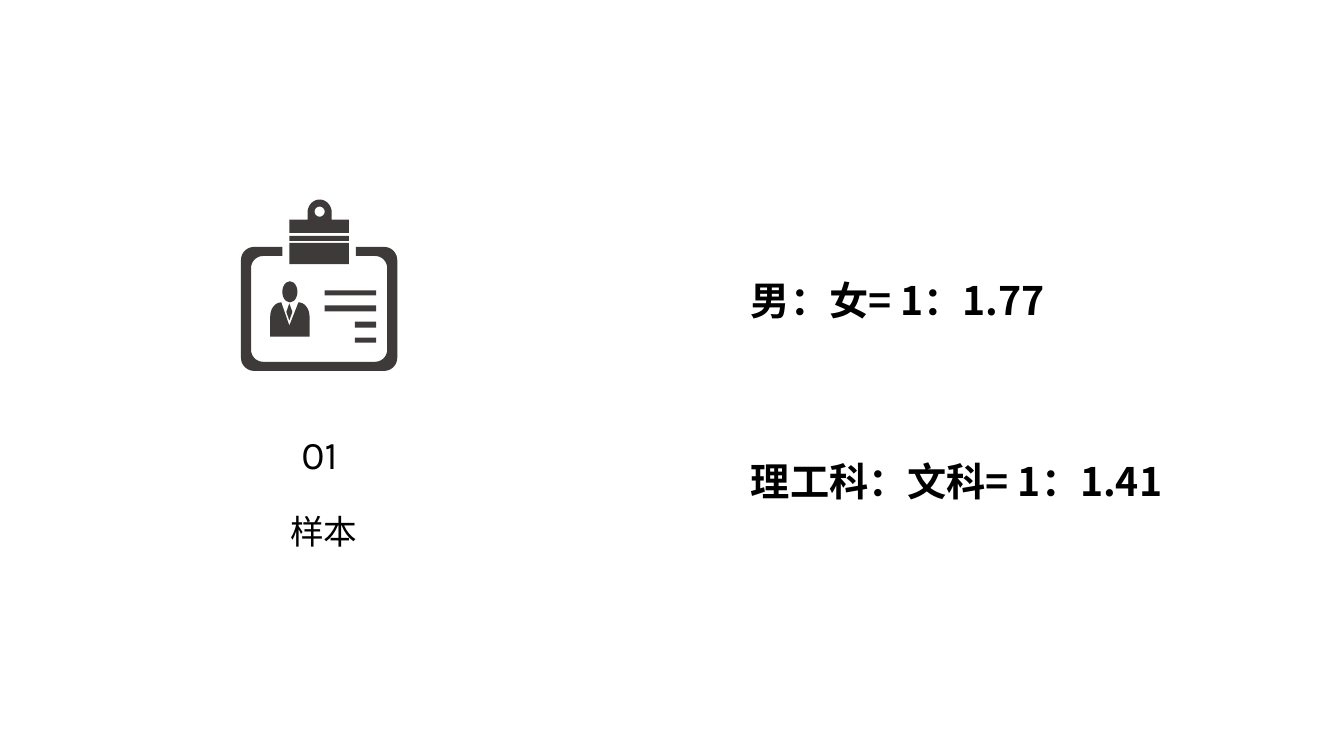
"""Build the sample slide: a badge icon with its label beside two ratios."""
from math import cos, radians, sin
from typing import NamedTuple

from lxml import etree
from pptx import Presentation
from pptx.dml.color import RGBColor
from pptx.enum.shapes import MSO_SHAPE
from pptx.enum.text import PP_ALIGN
from pptx.oxml.ns import qn
from pptx.util import Inches, Pt

RECT, OVAL, DIAMOND = MSO_SHAPE.RECTANGLE, MSO_SHAPE.OVAL, MSO_SHAPE.DIAMOND
LEFT, CENTER = PP_ALIGN.LEFT, PP_ALIGN.CENTER
INK = RGBColor(0x3E, 0x3A, 0x39)
BLACK = RGBColor(0, 0, 0)
KARLA, NOTO = "Karla", "Noto Sans CJK JP"

Point = tuple[float, float]


class Part(NamedTuple):
    kind: MSO_SHAPE
    left: float
    top: float
    width: float
    height: float


BARS = [
    Part(RECT, 3.22, 2.88, 0.51, 0.05),
    Part(RECT, 3.22, 3.03, 0.51, 0.06),
    Part(RECT, 3.52, 3.19, 0.21, 0.06),
    Part(RECT, 3.52, 3.35, 0.21, 0.05),
]
CLIP = [Part(RECT, 2.87, 2.41, 0.59, 0.21), Part(RECT, 2.87, 2.34, 0.59, 0.05)]
MAN = [Part(OVAL, 2.8, 2.79, 0.15, 0.21), Part(DIAMOND, 2.84, 3.01, 0.06, 0.17)]


def arc(x: float, y: float, wide: float, high: float,
        start: int, end: int) -> list[Point]:
    """Return points along an elliptic arc, angles in degrees."""
    steps = abs(end - start) // 10
    turns = [radians(start + (end - start) * i / steps) for i in range(steps + 1)]
    return [(x + wide * cos(t), y + high * sin(t)) for t in turns]


def corners(left: float, top: float, right: float, low: float,
            bend: float) -> list[Point]:
    """Return a rounded box outline running from top left to top right."""
    west, east, north, south = left + bend, right - bend, top + bend, low - bend
    spots = [(west, north), (west, south), (east, south), (east, north)]
    return [point for i, (x, y) in enumerate(spots)
            for point in arc(x, y, bend, bend, 270 - 90 * i, 180 - 90 * i)]


def paint(shape) -> None:
    """Fill a shape with ink, without line or shadow."""
    shape.shadow.inherit = False
    shape.fill.solid()
    shape.fill.fore_color.rgb = INK
    shape.line.fill.background()


def add_part(shapes, part: Part) -> None:
    """Draw one preset part of the icon."""
    paint(shapes.add_shape(part.kind, *map(Inches, part[1:])))


def add_path(shapes, *rings: list[Point]) -> None:
    """Draw closed rings as one outline."""
    first, *rest = [[(Inches(x), Inches(y)) for x, y in ring] for ring in rings]
    pen = shapes.build_freeform(*first[0])
    pen.add_line_segments(first[1:])
    for ring in rest:
        pen.move_to(*ring[0])
        pen.add_line_segments(ring[1:])
    paint(pen.convert_to_shape())


def add_text(shapes, lines: list[str], left: float, top: float, width: float,
             height: float, *, size: int = 28, font: str = KARLA,
             bold: bool = False, align: PP_ALIGN = LEFT, gap: int = 0) -> None:
    """Add a text box with one paragraph per line."""
    box = shapes.add_textbox(*map(Inches, (left, top, width, height)))
    frame = box.text_frame
    frame.word_wrap = True
    for i, line in enumerate(lines):
        para = frame.add_paragraph() if i else frame.paragraphs[0]
        para.alignment = align
        para.space_before = Pt(gap if i else 0)
        run = para.add_run()
        run.text = line
        run.font.name, run.font.size, run.font.bold = font, Pt(size), bold
        run.font.color.rgb = BLACK
        east = etree.SubElement(run.font._element, qn("a:ea"))
        east.set("typeface", NOTO)


def add_badge(shapes) -> None:
    """Draw the badge icon."""
    outer = corners(2.39, 2.45, 3.94, 3.68, 0.13)
    inner = corners(2.49, 2.54, 3.84, 3.59, 0.12)
    add_path(shapes, [(2.8, 2.45), *outer, (3.53, 2.45),
                      (3.53, 2.54), *reversed(inner), (2.8, 2.54)])
    for part in BARS + CLIP:
        add_part(shapes, part)
    add_path(shapes,
             [(3.46, 2.18), (3.46, 2.31), (2.87, 2.31), (2.87, 2.18),
              (3.05, 2.18), *arc(3.17, 2.11, 0.12, 0.13, 180, 360), (3.29, 2.18)],
             arc(3.17, 2.1, 0.05, 0.05, 360, 0))
    add_path(shapes, [(2.87, 3.23), *arc(2.96, 3.14, 0.11, 0.14, 270, 360),
                      (3.07, 3.34), (2.68, 3.34),
                      *arc(2.79, 3.14, 0.11, 0.14, 180, 270)])
    for part in MAN:
        add_part(shapes, part)


def main() -> None:
    """Build and save the slide."""
    deck = Presentation()
    deck.slide_width, deck.slide_height = Inches(13.33), Inches(7.5)
    slide = deck.slides.add_slide(deck.slide_layouts[6])
    group = slide.shapes.add_group_shape().shapes
    add_text(group, ["样本"], 1.71, 5.02, 3, 0.5, size=24, align=CENTER)
    add_text(group, ["01"], 2.89, 4.22, 0.64, 0.57)
    add_badge(group)
    add_text(slide.shapes, ["男：女= 1：1.77", "理工科：文科= 1：1.41"],
             7.35, 2.69, 5.45, 2.49, font=NOTO, bold=True, gap=96)
    deck.save("out.pptx")


if __name__ == "__main__":
    main()
